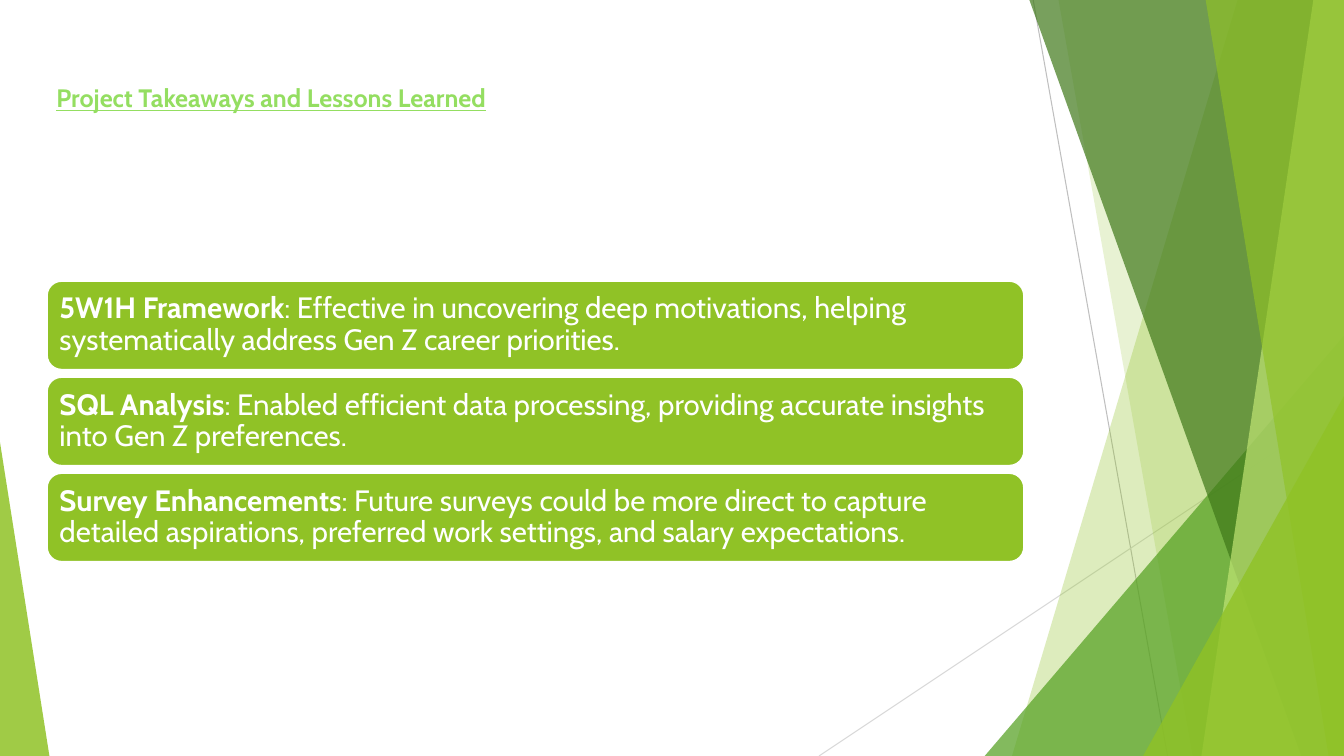
from lxml.etree import SubElement
from pptx import Presentation
from pptx.dml.color import RGBColor
from pptx.enum.shapes import MSO_CONNECTOR, MSO_SHAPE
from pptx.enum.text import MSO_ANCHOR, MSO_AUTO_SIZE, PP_ALIGN
from pptx.oxml.ns import qn
from pptx.util import Pt

WHITE = RGBColor(0xFF, 0xFF, 0xFF)
LIME = RGBColor(0x90, 0xC2, 0x26)
GREEN = RGBColor(0x54, 0xA0, 0x21)
DARK = RGBColor(0x3F, 0x78, 0x19)
PALE = RGBColor(0xC0, 0xE4, 0x74)
TITLE = RGBColor(0x94, 0xDE, 0x61)
GREY = RGBColor(0xBF, 0xBF, 0xBF)
SILVER = RGBColor(0xD9, 0xD9, 0xD9)
WIDTH, HEIGHT = 960, 540


def paint(shape, color, alpha):
    """Fill without outline or shadow; alpha is opacity in percent."""
    shape.shadow.inherit = False
    shape.fill.solid()
    shape.fill.fore_color.rgb = color
    shape.line.fill.background()
    tint = shape.fill._xPr.find(qn("a:solidFill"))[0]
    SubElement(tint, qn("a:alpha"), val=str(alpha * 1000))


def write(par, text, color, form):
    run = par.add_run()
    run.text = text
    run.font.color.rgb = color
    for key, value in form.items():
        setattr(run.font, key, value)


deck = Presentation()
deck.slide_width, deck.slide_height = Pt(WIDTH), Pt(HEIGHT)
slide = deck.slides.add_slide(deck.slide_layouts[6])
shapes = slide.shapes

# Thin lines behind the facets
for x1, y1, x2, y2, color in [
    (738, 0, 834, HEIGHT, GREY),
    (WIDTH, 290, 585, HEIGHT, SILVER),
]:
    line = shapes.add_connector(
        MSO_CONNECTOR.STRAIGHT, Pt(x1), Pt(y1), Pt(x2), Pt(y2))
    line.line.color.rgb = color
    line.line.width = Pt(0.75)
    SubElement(line._element.spPr, qn("a:effectLst"))

# Facets: a band runs from its top x to its bottom x and on to the right edge;
# a corner is a right triangle standing on the bottom edge
facets = [
    ("band", (884.2, 722.9), LIME, 30),
    ("band", (756, 851.8), LIME, 20),
    ("corner", (703.4, 239.8, 256.6, 1), GREEN, 72),
    ("band", (735.1, 929.5), DARK, 70),
    ("band", (938.2, 858.2), PALE, 70),
    ("band", (861.1, 949), LIME, 65),
    ("corner", (816.5, 283, 143.5, 1), LIME, 80),
    ("corner", (0, 316, 35.3, 0), LIME, 85),
]
for kind, place, color, alpha in facets:
    if kind == "band":
        top, foot = place
        path = shapes.build_freeform(Pt(top), Pt(-0.6))
        path.add_line_segments([
            (Pt(WIDTH), Pt(-0.6)), (Pt(WIDTH), Pt(HEIGHT)),
            (Pt(foot), Pt(HEIGHT))])
        facet = path.convert_to_shape()
    else:
        left, top, width, apex = place
        facet = shapes.add_shape(
            MSO_SHAPE.ISOSCELES_TRIANGLE,
            Pt(left), Pt(top), Pt(width), Pt(HEIGHT - top))
        facet.adjustments[0] = apex
    paint(facet, color, alpha)

# Title
title = shapes.add_textbox(Pt(33.2), Pt(55.5), Pt(392.4), Pt(29))
title.text_frame.word_wrap = True
title.text_frame.auto_size = MSO_AUTO_SIZE.SHAPE_TO_FIT_TEXT
write(title.text_frame.paragraphs[0], "Project Takeaways and Lessons Learned",
      TITLE, {"name": "Cabin", "size": Pt(18), "bold": True, "underline": True})

# Lesson cards
lessons = [
    ("5W1H Framework", "Effective in uncovering deep motivations, helping "
     "systematically address Gen Z career priorities."),
    ("SQL Analysis", "Enabled efficient data processing, providing accurate "
     "insights into Gen Z preferences."),
    ("Survey Enhancements", "Future surveys could be more direct to capture "
     "detailed aspirations, preferred work settings, and salary expectations."),
]
for row, (head, body) in enumerate(lessons):
    card = shapes.add_shape(
        MSO_SHAPE.ROUNDED_RECTANGLE,
        Pt(33.4), Pt(200.6 + 68.6 * row), Pt(698.2), Pt(63.6))
    card.shadow.inherit = False
    card.fill.solid()
    card.fill.fore_color.rgb = LIME
    card.line.color.rgb = WHITE
    card.line.width = Pt(1.5)
    frame = card.text_frame
    frame.word_wrap = True
    frame.vertical_anchor = MSO_ANCHOR.MIDDLE
    for side in ("left", "top", "right", "bottom"):
        setattr(frame, f"margin_{side}", Pt(6))
    par = frame.paragraphs[0]
    par.alignment = PP_ALIGN.LEFT
    par.line_spacing = 0.9
    for text, bold in [(head, True), (f": {body}", False)]:
        write(par, text, WHITE, {"name": "Cabin", "size": Pt(21), "bold": bold})

deck.save("out.pptx")
